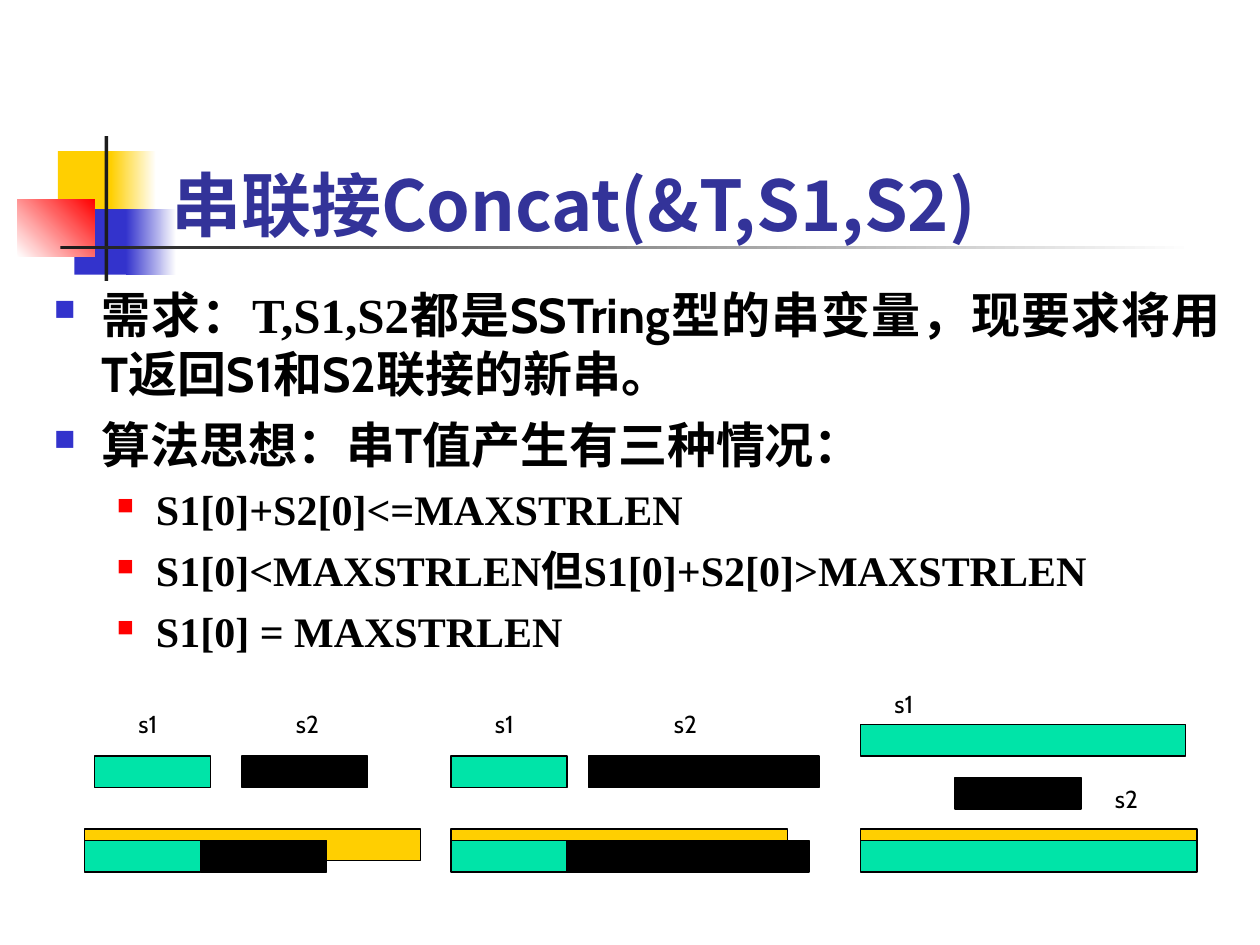
from lxml import etree
from pptx import Presentation
from pptx import util as u
from pptx.dml.color import RGBColor
from pptx.enum import shapes, text
from pptx.oxml.ns import qn

HAN, LATIN, SERIF = "Noto Sans CJK SC", "Cabin", "Times New Roman"
YELLOW, BLUE, RED, GREEN = "FFCF01", "3333CC", "FF0000", "00E4A8"
BLACK, WHITE, CHARCOAL, INDIGO = "000000", "FFFFFF", "1C1C1C", "333399"

TITLE = "串联接Concat(&T,S1,S2)"
TITLE_BOX = (1.26, 1.39, 8.52, 0.61)
BODY_BOX = (0.33, 2.21, 9.46, 5.04)

DECORATION = [
    ((0.46, 1.2, 0.48, 0.52), (YELLOW,), 0),
    ((0.88, 1.2, 0.36, 0.52), (YELLOW, WHITE), 0),
    ((0.59, 1.66, 0.46, 0.52), (BLUE,), 0),
    ((1, 1.66, 0.4, 0.52), (BLUE, WHITE), 0),
    ((0.14, 1.58, 0.61, 0.46), (WHITE, RED), 45),
    ((0.83, 1.08, 0.03, 1.15), (CHARCOAL,), 0),
    ((0.48, 1.95, 9, 0.03), (CHARCOAL, WHITE), 0),
]

POINTS = [
    (0, [("需求：", LATIN), ("T,S1,S2", SERIF), ("都是SSTring", LATIN),
         ("型的串变量，现要求将用", SERIF), ("T返回S1和S2联接的新串", LATIN), ("。", SERIF)]),
    (0, [("算法思想：", LATIN), ("串", SERIF), ("T", LATIN), ("值产生有三种情况：", SERIF)]),
    (1, [("S1[0]+S2[0]<=MAXSTRLEN", SERIF)]),
    (1, [("S1[0]<MAXSTRLEN但S1[0]+S2[0]>MAXSTRLEN", SERIF)]),
    (1, [("S1[0] = MAXSTRLEN", SERIF)]),
]
LEVELS = [
    {"size": 28, "before": 7, "margin": 0.38, "indent": -0.38, "bullet": BLUE, "percent": 60},
    {"size": 24, "before": 6, "margin": 0.81, "indent": -0.31, "bullet": RED, "percent": 55},
]

BAR_HEIGHT = 0.25
SOURCE_Y, CAPACITY_Y, RESULT_Y = 6, 6.58, 6.67
S1_WIDTH, S2_WIDTH, CAPACITY = 0.92, 1, 2.67
CASES = [
    {"left": 0.67,
     "sources": [(0.75, SOURCE_Y, S1_WIDTH, GREEN), (1.92, SOURCE_Y, S2_WIDTH, BLACK)],
     "result": [(S1_WIDTH, GREEN), (S2_WIDTH, BLACK)],
     "labels": [("s1", 1, 5.58), ("s2", 2.25, 5.58)]},
    {"left": 3.58,
     "sources": [(3.58, SOURCE_Y, S1_WIDTH, GREEN), (4.67, SOURCE_Y, 1.83, BLACK)],
     "result": [(S1_WIDTH, GREEN), (1.92, BLACK)],
     "labels": [("s1", 3.83, 5.58), ("s2", 5.25, 5.58)]},
    {"left": 6.83,
     "sources": [(6.83, 5.75, 2.58, GREEN), (7.58, 6.17, S2_WIDTH, BLACK)],
     "result": [(CAPACITY, GREEN)],
     "labels": [("s1", 7, 5.42), ("s2", 8.75, 6.17)]},
]


def rgb(value):
    return RGBColor.from_string(value)


def apply(target, values):
    for name, value in values.items():
        setattr(target, name, value)


def inches(box):
    return [u.Inches(length) for length in box]


def add_rectangle(slide, box, colours, angle=0, outlined=False):
    rectangle = slide.shapes.add_shape(shapes.MSO_SHAPE.RECTANGLE, *inches(box))
    rectangle.shadow.inherit = False
    if len(colours) == 1:
        rectangle.fill.solid()
        rectangle.fill.fore_color.rgb = rgb(colours[0])
    else:
        rectangle.fill.gradient()
        rectangle.fill.gradient_angle = angle
        for stop, colour in zip(rectangle.fill.gradient_stops, colours):
            stop.color.rgb = rgb(colour)
    if outlined:
        rectangle.line.color.rgb = rgb(BLACK)
        rectangle.line.width = u.Pt(0.75)
    else:
        rectangle.line.fill.background()


def add_run(paragraph, words, font, size, colour=BLACK, bold=False):
    run = paragraph.add_run()
    run.text = words
    apply(run.font, {"name": font, "size": u.Pt(size), "bold": bold})
    run.font.color.rgb = rgb(colour)
    east_asian = etree.Element(qn("a:ea"), typeface=HAN)
    run.font._element.find(qn("a:latin")).addnext(east_asian)


def add_bullet(paragraph, level):
    properties = paragraph._p.get_or_add_pPr()
    properties.set("marL", str(u.Inches(level["margin"])))
    properties.set("indent", str(u.Inches(level["indent"])))
    colour = etree.SubElement(properties, qn("a:buClr"))
    etree.SubElement(colour, qn("a:srgbClr"), val=level["bullet"])
    etree.SubElement(properties, qn("a:buSzPct"), val=str(level["percent"] * 1000))
    etree.SubElement(properties, qn("a:buChar"), char="■")


def add_title(slide):
    title = slide.shapes.title
    apply(title, dict(zip(("left", "top", "width", "height"), inches(TITLE_BOX))))
    apply(title.text_frame, {"vertical_anchor": text.MSO_ANCHOR.BOTTOM,
                             "auto_size": text.MSO_AUTO_SIZE.NONE, "word_wrap": True})
    paragraph = title.text_frame.paragraphs[0]
    paragraph.alignment = text.PP_ALIGN.LEFT
    add_run(paragraph, TITLE, HAN, 40, INDIGO, True)


def add_points(slide):
    frame = slide.shapes.add_textbox(*inches(BODY_BOX)).text_frame
    frame.word_wrap = True
    for index, (depth, runs) in enumerate(POINTS):
        level = LEVELS[depth]
        paragraph = frame.add_paragraph() if index else frame.paragraphs[0]
        add_bullet(paragraph, level)
        apply(paragraph, {"level": depth, "alignment": text.PP_ALIGN.JUSTIFY,
                          "space_before": u.Pt(level["before"] if index else 0)})
        for words, font in runs:
            add_run(paragraph, words, font, level["size"], bold=True)


def add_case(slide, case):
    for left, top, width, colour in case["sources"]:
        add_rectangle(slide, (left, top, width, BAR_HEIGHT), (colour,), outlined=True)
    left = case["left"]
    add_rectangle(slide, (left, CAPACITY_Y, CAPACITY, BAR_HEIGHT), (YELLOW,), outlined=True)
    for width, colour in case["result"]:
        add_rectangle(slide, (left, RESULT_Y, width, BAR_HEIGHT), (colour,), outlined=True)
        left += width
    for words, label_left, label_top in case["labels"]:
        label = slide.shapes.add_textbox(*inches((label_left, label_top, 0.42, 0.34)))
        label.text_frame.word_wrap = True
        add_run(label.text_frame.paragraphs[0], words, LATIN, 14)


def main():
    deck = Presentation()
    apply(deck, {"slide_width": u.Inches(10), "slide_height": u.Inches(7.5)})
    slide = deck.slides.add_slide(deck.slide_layouts[5])
    for box, colours, angle in DECORATION:
        add_rectangle(slide, box, colours, angle)
    add_title(slide)
    add_points(slide)
    for case in CASES:
        add_case(slide, case)
    deck.save("out.pptx")


if __name__ == "__main__":
    main()
